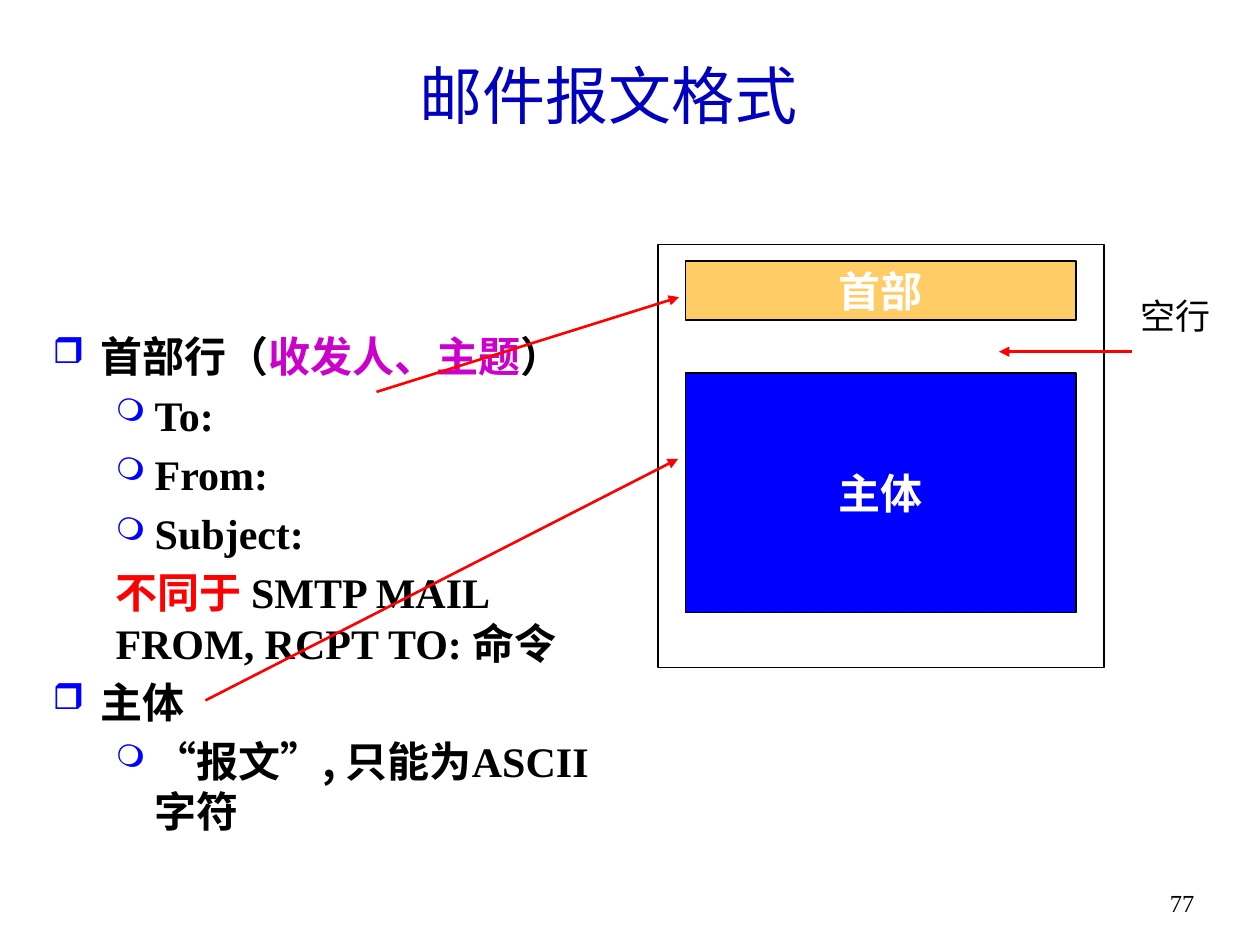
from dataclasses import dataclass

from lxml import etree
from pptx import Presentation
from pptx.dml.color import RGBColor
from pptx.enum.shapes import MSO_CONNECTOR, MSO_SHAPE
from pptx.enum.text import MSO_ANCHOR, PP_ALIGN
from pptx.oxml.ns import qn
from pptx.util import Cm, Pt

LEFT, MID, RIGHT = PP_ALIGN.LEFT, PP_ALIGN.CENTER, PP_ALIGN.RIGHT
TOP, CENTER = MSO_ANCHOR.TOP, MSO_ANCHOR.MIDDLE
RECT, LINE = MSO_SHAPE.RECTANGLE, MSO_CONNECTOR.STRAIGHT


@dataclass(frozen=True)
class Theme:
    """Colours, fonts and type sizes of the slide."""
    black: str = "000000"
    white: str = "FFFFFF"
    navy: str = "0000BF"
    blue: str = "0000FF"
    gold: str = "FFCC66"
    pink: str = "CC00CC"
    red: str = "FF0000"
    serif: str = "Times New Roman"
    sans: str = "Comic Neue"
    cjk: str = "Noto Sans CJK SC"
    title: int = 36
    body: int = 24
    label: int = 20
    page: int = 14


T = Theme()
BULLETS = {
    "main": {"char": "❒", "size": 85, "left": 0.97, "hang": -0.97, "level": 0},
    "sub": {"char": "❍", "size": 75, "left": 2.06, "hang": -0.79, "level": 1},
    "note": {"char": "", "size": 0, "left": 1.27, "hang": 0, "level": 1},
}


def put(item, style):
    """Set every attribute in the style on the item."""
    for key, val in style.items():
        setattr(item, key, val)


def add_run(para, text, size, color=T.black, name=T.serif, bold=False):
    """Add one formatted run to a paragraph."""
    run = para.add_run()
    run.text = text
    put(run.font, {"size": Pt(size), "name": name, "bold": bold})
    run.font.color.rgb = RGBColor.from_string(color)


def add_text(slide, box, align=LEFT, anchor=TOP, wrap=True):
    """Add a text box and return its frame."""
    frame = slide.shapes.add_textbox(*map(Cm, box)).text_frame
    put(frame, {"word_wrap": wrap, "vertical_anchor": anchor})
    frame.paragraphs[0].alignment = align
    return frame


def add_line(slide, box, text, size, color=T.black, name=T.serif, **form):
    """Add a text box that holds a single line."""
    frame = add_text(slide, box, **form)
    add_run(frame.paragraphs[0], text, size, color, name)


def set_bullet(para, kind):
    """Give a paragraph its level, indent and bullet."""
    rule = BULLETS[kind]
    para.level = rule["level"]
    props = para._p.get_or_add_pPr()
    props.set("marL", str(Cm(rule["left"])))
    props.set("indent", str(Cm(rule["hang"])))
    if rule["char"]:
        color = etree.SubElement(props, qn("a:buClr"))
        etree.SubElement(color, qn("a:srgbClr"), val=T.blue)
        etree.SubElement(props, qn("a:buSzPct"), val=str(rule["size"] * 1000))
        etree.SubElement(props, qn("a:buChar"), char=rule["char"])


def add_list(slide, box):
    """Add the bulleted list of message parts."""
    rows = [
        ("main", [("首部行（", {}), ("收发人、主题", {"color": T.pink}), ("）", {})]),
        ("sub", [("To:", {})]),
        ("sub", [("From:", {})]),
        ("sub", [("Subject:", {})]),
        ("note", [("不同于 ", {"color": T.red}),
                  ("SMTP MAIL FROM, RCPT TO: 命令", {})]),
        ("main", [("主体", {})]),
        ("sub", [("“报文”, ", {"name": T.cjk}), ("只能为ASCII 字符", {})]),
    ]
    frame = add_text(slide, box)
    for num, (kind, runs) in enumerate(rows):
        para = frame.add_paragraph() if num else frame.paragraphs[0]
        para.space_before = Pt(5 if num else 0)
        set_bullet(para, kind)
        for text, form in runs:
            add_run(para, text, T.body, bold=True, **form)


def add_rect(slide, box, fill=None, text="", width=0.75):
    """Add an outlined rectangle with an optional fill and caption."""
    shape = slide.shapes.add_shape(RECT, *map(Cm, box))
    shape.shadow.inherit = False
    shape.line.color.rgb = RGBColor.from_string(T.black)
    shape.line.width = Pt(width)
    if fill:
        shape.fill.solid()
        shape.fill.fore_color.rgb = RGBColor.from_string(fill)
    else:
        shape.fill.background()
    if text:
        frame = shape.text_frame
        put(frame, {"word_wrap": False, "vertical_anchor": CENTER})
        frame.paragraphs[0].alignment = MID
        add_run(frame.paragraphs[0], text, T.body, T.white, T.sans, True)


def add_arrow(slide, start, end):
    """Add a red arrow between two points."""
    arrow = slide.shapes.add_connector(LINE, *map(Cm, start + end))
    arrow.line.color.rgb = RGBColor.from_string(T.red)
    arrow.line.width = Pt(1.5)
    etree.SubElement(arrow.line._get_or_add_ln(), qn("a:tailEnd"), type="triangle")
    etree.SubElement(arrow._element.spPr, qn("a:effectLst"))


def add_mail(slide, box):
    """Add the message diagram with its arrows and label."""
    x, y, wide, _ = box
    pad = 0.56
    parts = [(0.33, 1.19, T.gold, "首部"), (2.59, 4.83, T.blue, "主体")]
    for top, high, fill, text in parts:
        add_rect(slide, (x + pad, y + top, wide - 2 * pad, high), fill, text)
    add_rect(slide, box, width=1)
    arrows = [
        (-5.67, 2.97, 0.43, 1.06),
        (-9.12, 9.19, 0.41, 4.32),
        (9.57, 2.16, 6.88, 2.16),
    ]
    for x1, y1, x2, y2 in arrows:
        add_arrow(slide, (x + x1, y + y1), (x + x2, y + y2))
    add_line(slide, (x + 9.47, y + 0.89, 1.93, 1.09), "空行", T.label,
             name=T.sans, align=MID, wrap=False)


def main():
    """Build and save the slide."""
    deck = Presentation()
    put(deck, {"slide_width": Cm(25.4), "slide_height": Cm(19.05)})
    slide = deck.slides.add_slide(deck.slide_layouts[6])
    add_line(slide, (23.06, 17.78, 1.27, 1.27), "77", T.page, align=RIGHT)
    add_line(slide, (1.47, 0.64, 21.59, 2.54), "邮件报文格式", T.title, T.navy,
             align=MID, anchor=CENTER)
    add_list(slide, (0.81, 6.53, 11.66, 9.47))
    add_mail(slide, (13.26, 4.93, 8.99, 8.53))
    deck.save("out.pptx")


if __name__ == "__main__":
    main()
